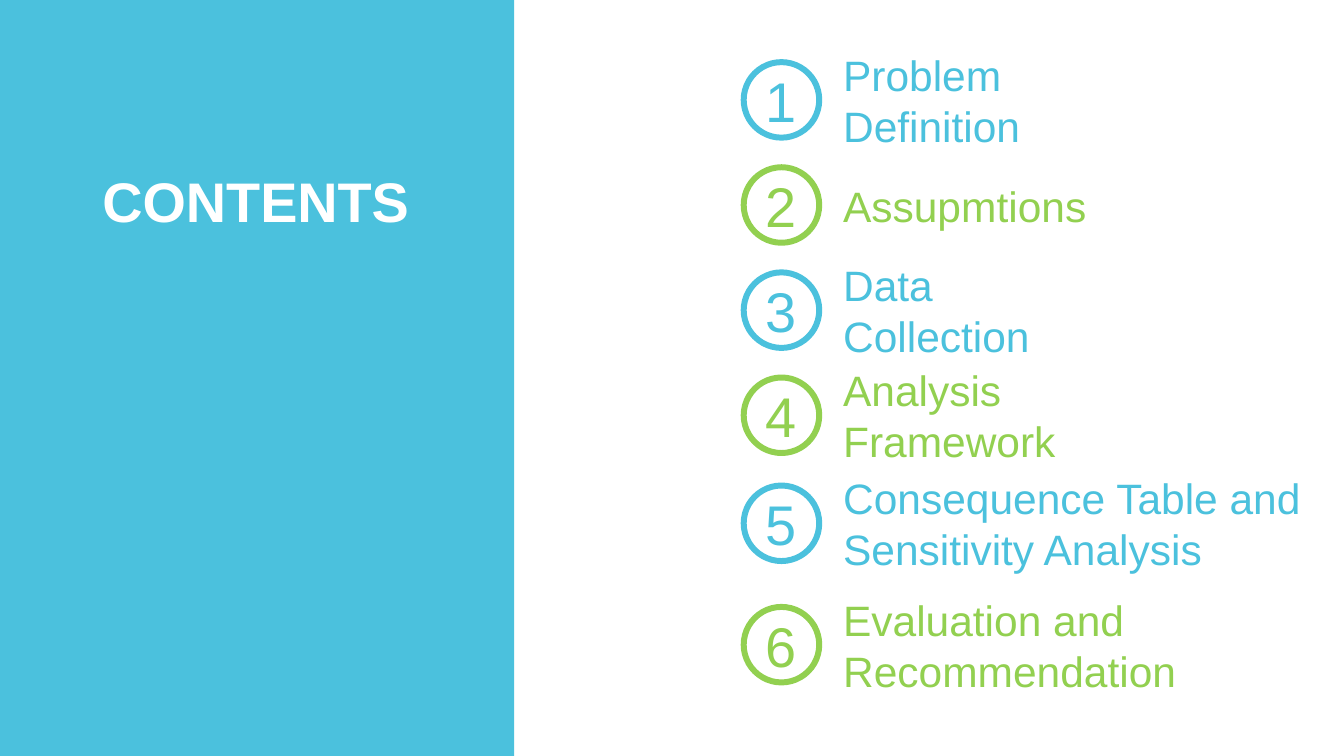
from dataclasses import dataclass

from pptx import Presentation
from pptx.dml.color import RGBColor
from pptx.enum.shapes import MSO_SHAPE as Shape
from pptx.enum.text import MSO_ANCHOR as Anchor, MSO_AUTO_SIZE as AutoSize, PP_ALIGN as Align
from pptx.util import Pt


@dataclass(frozen=True)
class Theme:
    blue: RGBColor = RGBColor(0x4B, 0xC1, 0xDD)
    green: RGBColor = RGBColor(0x92, 0xD0, 0x50)
    white: RGBColor = RGBColor(0xFF, 0xFF, 0xFF)
    font: str = "Arial"
    heading: float = 42
    number: float = 42.1
    topic: float = 32


theme = Theme()


def write(holder, text, *, size, color, align=Align.LEFT, bold=False):
    frame = holder.text_frame
    frame.word_wrap = True
    frame.auto_size = AutoSize.NONE
    frame.vertical_anchor = Anchor.MIDDLE
    frame.margin_left = frame.margin_right = frame.margin_top = frame.margin_bottom = 0
    frame.text = text
    paragraph = frame.paragraphs[0]
    paragraph.alignment = align
    font = paragraph.runs[0].font
    font.name, font.size, font.bold = theme.font, Pt(size), bold
    font.color.rgb = color


deck = Presentation()
deck.slide_width, deck.slide_height = Pt(1012.32), Pt(569.52)
slide = deck.slides.add_slide(deck.slide_layouts[5])
shapes = slide.shapes

panel = shapes.add_shape(Shape.RECTANGLE, 0, 0, Pt(387.36), deck.slide_height)
panel.shadow.inherit = False
panel.fill.solid()
panel.fill.fore_color.rgb = theme.blue
panel.line.fill.background()

heading = shapes.title
heading.left, heading.top, heading.width, heading.height = Pt(69.84), Pt(123.12), Pt(245.52), Pt(55.44)
write(heading, "CONTENTS", size=theme.heading, color=theme.white, align=Align.CENTER, bold=True)
panel._element.addnext(heading._element)  # heading in front of the panel

# Topic, top of its circle, width of its text
topics = [
    ("Problem Definition", 46.8, 213.12),
    ("Assupmtions", 126, 213.12),
    ("Data Collection", 205.2, 160.56),
    ("Analysis Framework", 284.4, 168.48),
    ("Consequence Table and Sensitivity Analysis", 365.76, 352.8),
    ("Evaluation and Recommendation", 457.2, 267.84),
]
diameter = 56.88

for number, (topic, top, width) in enumerate(topics, start=1):
    color = theme.blue if number % 2 else theme.green

    circle = shapes.add_shape(Shape.OVAL, Pt(560.16), Pt(top), Pt(diameter), Pt(diameter))
    circle.shadow.inherit = False
    circle.fill.solid()
    circle.fill.fore_color.rgb = theme.white
    circle.line.color.rgb = color
    circle.line.width = Pt(4.5)
    write(circle, str(number), size=theme.number, color=color, align=Align.CENTER)

    label = shapes.add_textbox(Pt(635.04), Pt(top), Pt(width), Pt(diameter))
    write(label, topic, size=theme.topic, color=color)

deck.save("out.pptx")
